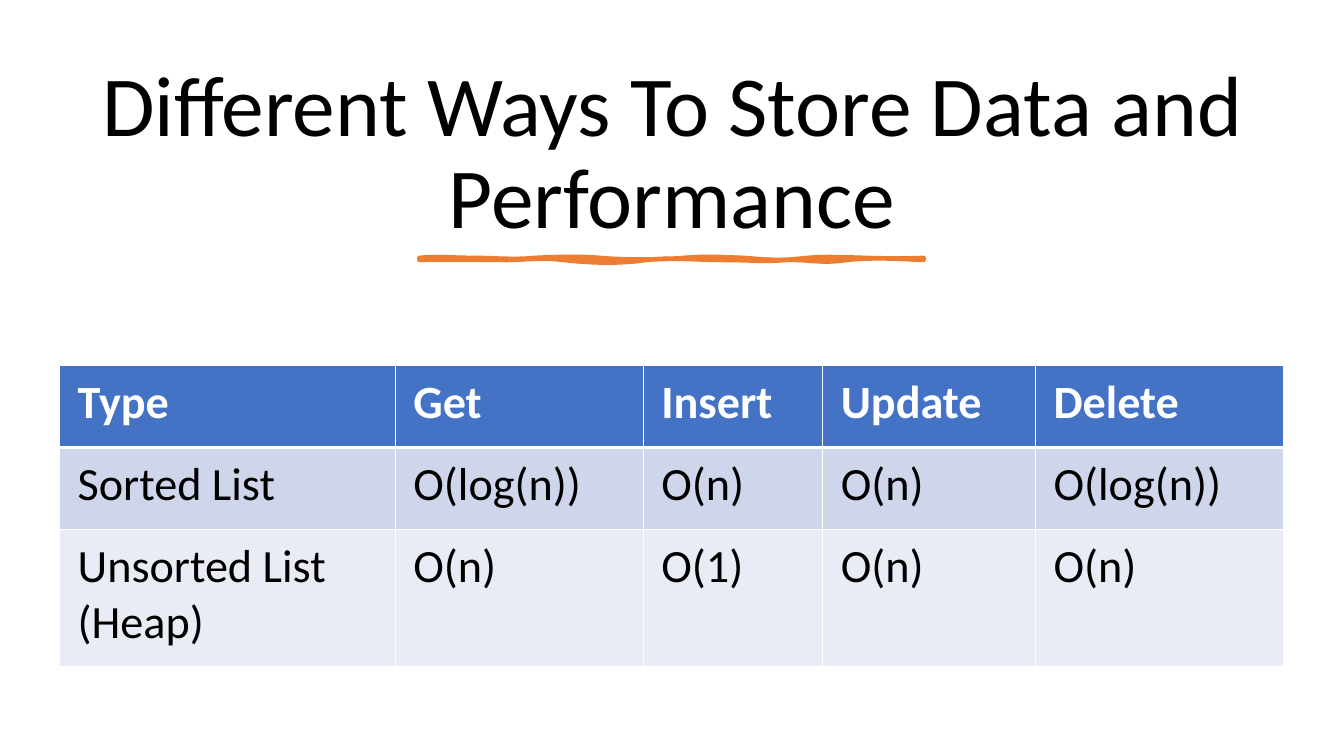
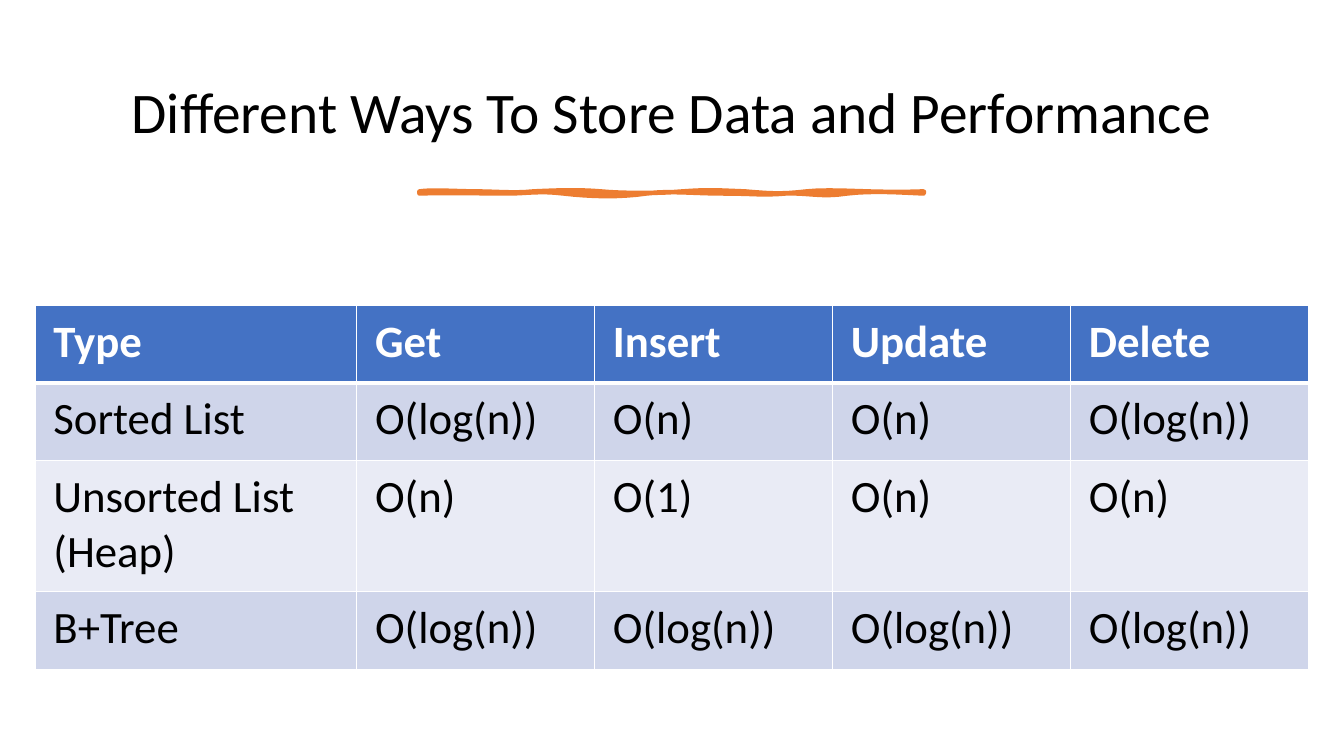
import dataclasses

import lxml.etree
import pptx
import pptx.dml.color
import pptx.enum.text
import pptx.oxml.ns
import pptx.util

Inches = pptx.util.Inches
Pt = pptx.util.Pt
qn = pptx.oxml.ns.qn


@dataclasses.dataclass(frozen=True)
class Theme:
    font: str = "Calibri"
    ink: str = "000000"
    paper: str = "FFFFFF"
    accent: str = "ED7D31"
    header: str = "4472C4"
    bands: tuple = ("CFD5EA", "E9EBF5")
    title_large: int = 61
    title_small: int = 41
    table_large: int = 33
    table_small: int = 32
    brush: float = 3.25
    thin: int = 1
    thick: int = 3


THEME = Theme()
TITLE = "Different Ways To Store Data and Performance"
HEADINGS = ("Type", "Get", "Insert", "Update", "Delete")
SORTED_LIST = ("Sorted List", "O(log(n))", "O(n)", "O(n)", "O(log(n))")
UNSORTED_LIST = ("Unsorted List (Heap)", "O(n)", "O(1)", "O(n)", "O(n)")
TREE = ("B+Tree",) + ("O(log(n))",) * 4

BRUSH_LEFT = 4.16
BRUSH_CURVES = (
    ((0.12, -0.02), (0.38, 0), (0.57, 0)),
    ((0.76, 0), (0.93, 0.02), (1.13, 0)),
    ((1.33, -0.01), (1.58, -0.02), (1.8, 0)),
    ((2.01, 0.02), (2.37, 0.02), (2.61, 0)),
    ((2.86, -0.02), (2.98, -0.01), (3.23, 0)),
    ((3.47, 0.02), (3.58, 0.03), (3.84, 0)),
    ((4.1, -0.03), (4.51, 0.02), (5, 0)),
    ((5.01, 0.01), (5, 0.01), (5, 0.02)),
    ((4.79, 0.01), (4.49, -0.01), (4.24, 0.02)),
    ((3.99, 0.06), (3.85, 0.01), (3.63, 0.02)),
    ((3.4, 0.04), (3.31, 0.02), (3.01, 0.02)),
    ((2.71, 0.02), (2.51, -0.01), (2.25, 0.02)),
    ((1.98, 0.06), (1.69, 0.05), (1.43, 0.02)),
    ((1.18, -0.01), (1.07, 0.02), (0.87, 0.02)),
    ((0.67, 0.02), (0.22, 0.01), (0, 0.02)),
)


def color(value):
    return pptx.dml.color.RGBColor.from_string(value)


def write_text(frame, text, *, size, ink=THEME.ink, bold=False, align=None, spacing=None):
    para = frame.paragraphs[0]
    para.alignment = align
    para.line_spacing = spacing
    span = para.add_run()
    span.text = text
    span.font.name = THEME.font
    span.font.size = Pt(size)
    span.font.bold = bold
    span.font.color.rgb = color(ink)


def curve_points(start, curves, steps=8):
    for first, second, end in curves:
        for step in range(1, steps + 1):
            t = step / steps
            weights = ((1 - t) ** 3, 3 * t * (1 - t) ** 2, 3 * t * t * (1 - t), t ** 3)
            corners = (start, first, second, end)
            yield tuple(sum(w * corner[axis] for w, corner in zip(weights, corners))
                        for axis in (0, 1))
        start = end


def add_border(properties, side, width):
    line = lxml.etree.SubElement(properties, qn(f"a:ln{side}"), w=str(Pt(width)))
    fill = lxml.etree.SubElement(line, qn("a:solidFill"))
    lxml.etree.SubElement(fill, qn("a:srgbClr"), val=THEME.paper)


class Slides:
    def __init__(self, theme):
        self.theme = theme
        self.deck = pptx.Presentation()
        self.deck.slide_width = Inches(13.33)
        self.deck.slide_height = Inches(7.5)
        self.page = None

    def add_page(self):
        self.page = self.deck.slides.add_slide(self.deck.slide_layouts[5])
        self.page.background.fill.solid()
        self.page.background.fill.fore_color.rgb = color(self.theme.paper)

    def title(self, text, *, top, height, size, anchor):
        box = self.page.shapes.title
        box.left, box.top = Inches(0.7), Inches(top)
        box.width, box.height = Inches(11.93), Inches(height)
        frame = box.text_frame
        frame.word_wrap = True
        frame.auto_size = pptx.enum.text.MSO_AUTO_SIZE.NONE
        frame.vertical_anchor = anchor
        write_text(frame, text, size=size, spacing=0.9,
                   align=pptx.enum.text.PP_ALIGN.CENTER)

    def brush_line(self, top):
        builder = self.page.shapes.build_freeform(Inches(BRUSH_LEFT), Inches(top))
        builder.add_line_segments(
            [(Inches(BRUSH_LEFT + x), Inches(top + y))
             for x, y in curve_points((0, 0), BRUSH_CURVES)], close=True)
        stroke = builder.convert_to_shape()
        stroke.shadow.inherit = False
        stroke.fill.solid()
        stroke.fill.fore_color.rgb = color(self.theme.accent)
        stroke.line.color.rgb = color(self.theme.accent)
        stroke.line.width = Pt(self.theme.brush)

    def table(self, rows, *, left, top, widths, heights, size):
        table = self.page.shapes.add_table(
            len(rows), len(widths), Inches(left), Inches(top),
            Inches(sum(widths)), Inches(sum(heights))).table
        for column, width in zip(table.columns, widths):
            column.width = Inches(width)
        for index, (row, height, texts) in enumerate(zip(table.rows, heights, rows)):
            row.height = Inches(height)
            for cell, text in zip(row.cells, texts):
                self.cell(cell, text, index, size)

    def cell(self, cell, text, row, size):
        theme = self.theme
        is_header = row == 0
        cell.margin_left = cell.margin_right = Inches(0.18)
        cell.margin_top = cell.margin_bottom = Inches(0.09)
        properties = cell._tc.get_or_add_tcPr()
        for side in "LRTB":
            is_thick = (row, side) in ((0, "B"), (1, "T"))
            add_border(properties, side, theme.thick if is_thick else theme.thin)
        cell.fill.solid()
        cell.fill.fore_color.rgb = color(
            theme.header if is_header else theme.bands[(row - 1) % 2])
        write_text(cell.text_frame, text, size=size, bold=is_header,
                   ink=theme.paper if is_header else theme.ink)


def main():
    slides = Slides(THEME)
    anchors = pptx.enum.text.MSO_ANCHOR

    slides.add_page()
    slides.title(TITLE, top=0.5, height=2, size=THEME.title_large, anchor=anchors.BOTTOM)
    slides.brush_line(2.56)
    slides.table((HEADINGS, SORTED_LIST, UNSORTED_LIST), left=0.59, top=3.63,
                 widths=(3.33, 2.46, 1.78, 2.11, 2.46), heights=(0.81, 0.81, 1.36),
                 size=THEME.table_large)

    slides.add_page()
    slides.title(TITLE, top=0.46, height=1.37, size=THEME.title_small, anchor=anchors.MIDDLE)
    slides.brush_line(1.9)
    slides.table((HEADINGS, SORTED_LIST, UNSORTED_LIST, TREE), left=0.35, top=3.03,
                 widths=(3.19,) + (2.36,) * 4, heights=(0.77, 0.77, 1.3, 0.77),
                 size=THEME.table_small)

    slides.deck.save("out.pptx")


if __name__ == "__main__":
    main()
